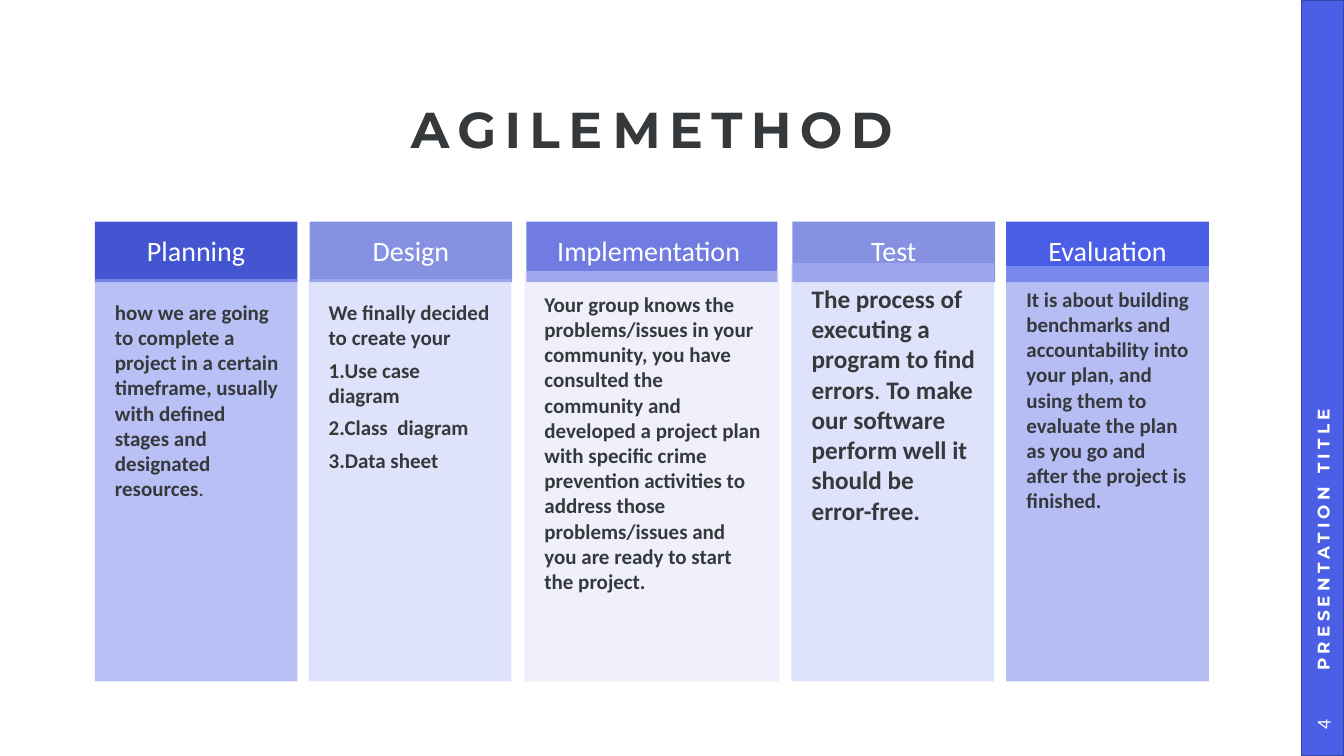
import pptx
import pptx.util
import pptx.dml.color
import pptx.enum.shapes
import pptx.enum.text
import pptx.oxml
import pptx.oxml.ns

Inches = pptx.util.Inches
Pt = pptx.util.Pt
ALIGN = pptx.enum.text.PP_ALIGN
ANCHOR = pptx.enum.text.MSO_ANCHOR


def paint(fill, color, opacity=100):
    fill.solid()
    fill.fore_color.rgb = pptx.dml.color.RGBColor.from_string(color)
    if opacity < 100:
        alpha = pptx.oxml.parse_xml(
            f'<a:alpha {pptx.oxml.ns.nsdecls("a")} val="{opacity * 1000}"/>')
        fill._xPr.find(".//" + pptx.oxml.ns.qn("a:srgbClr")).append(alpha)


def write(box, paragraphs, font, color, insets, anchor, spacing=0, **layout):
    frame = box.text_frame
    frame.word_wrap = True
    frame.vertical_anchor = anchor
    for side, inset in zip(("left", "top", "right", "bottom"), insets):
        setattr(frame, f"margin_{side}", Inches(inset))
    for index, pieces in enumerate(paragraphs):
        para = frame.add_paragraph() if index else frame.paragraphs[0]
        for name, value in layout.items():
            setattr(para, name, value)
        for text, bold in pieces:
            span = para.add_run()
            span.text = text
            for name, value in font.items():
                setattr(span.font, name, value)
            span.font.bold = bold
            paint(span.font.fill, color)
            if spacing:
                span._r.get_or_add_rPr().set("spc", str(spacing * 100))


deck = pptx.Presentation()
deck.slide_width = Inches(13.33)
deck.slide_height = Inches(7.5)
page = deck.slides.add_slide(deck.slide_layouts[6])
RECTANGLE = pptx.enum.shapes.MSO_SHAPE.RECTANGLE

sidebar = page.shapes.add_shape(RECTANGLE, Inches(12.91), 0, Inches(0.42), Inches(7.5))
sidebar.shadow.inherit = False
paint(sidebar.fill, "4A5EE6")
paint(sidebar.line.fill, "3746AA")
sidebar.line.width = Pt(1)

HEADER_TOP, HEADER_HEIGHT, BOTTOM = 2.2, 0.6, 6.76
phases = [
    {"title": "Planning", "header": (0.94, 2.01, "4355D1", 100),
     "body": (0.94, 2.77, 2.01, "929EF0", 64), "size": 15,
     "text": [[("how we are going to complete a project in a certain timeframe, "
                "usually with defined stages and designated resources", True), (".", False)]]},
    {"title": "Design", "header": (3.07, 2.01, "1C32C8", 53),
     "body": (3.06, 2.77, 2.01, "B7BFF5", 45), "size": 15,
     "text": [[("We finally decided to create your", True)], [("1.Use case diagram", True)],
              [("2.Class  diagram", True)], [("3.Data sheet", True)]]},
    {"title": "Implementation ", "header": (5.22, 2.49, "707CE1", 100),
     "body": (5.2, 2.69, 2.53, "DBDFFA", 44), "size": 15,
     "text": [[("Your group knows the problems/issues in your community, you have consulted "
                "the community and developed a project plan with specific crime prevention "
                "activities to address those problems/issues and you are ready to start "
                "the project.", True)]]},
    {"title": "Test", "header": (7.86, 2.01, "1C32C8", 53),
     "body": (7.85, 2.61, 2.01, "B7BFF5", 45), "size": 18,
     "text": [[("The process of executing a program to find errors", True), (". ", False),
               ("To make our software perform well it should be error-free.", True)]]},
    {"title": "Evaluation", "header": (9.98, 2.01, "4A5EE6", 100),
     "body": (9.98, 2.64, 2.01, "929EF0", 68), "size": 15,
     "text": [[("It is about building benchmarks and accountability into your plan, and using "
                "them to evaluate the plan as you go and after the project is finished.", True)]]},
]

for phase in phases:
    left, width, color, opacity = phase["header"]
    header = page.shapes.add_shape(RECTANGLE, Inches(left), Inches(HEADER_TOP),
                                   Inches(width), Inches(HEADER_HEIGHT))
    paint(header.fill, color, opacity)
    write(header, [[(phase["title"], False)]], {"name": "Calibri", "size": Pt(20)}, "FFFFFF",
          [0.16] * 4, ANCHOR.MIDDLE, alignment=ALIGN.CENTER, line_spacing=0.9, space_after=Pt(7))

    left, top, width, color, opacity = phase["body"]
    body = page.shapes.add_shape(RECTANGLE, Inches(left), Inches(top),
                                 Inches(width), Inches(BOTTOM - top))
    paint(body.fill, color, opacity)
    write(body, phase["text"], {"name": "Calibri", "size": Pt(phase["size"])}, "36393B",
          [0.2, 0.2, 0.18, 0.2], ANCHOR.TOP, alignment=ALIGN.LEFT, space_after=Pt(5.25))

    for box in (header, body):
        box.shadow.inherit = False
        box.line.fill.background()

title = page.shapes.add_textbox(Inches(0.93), Inches(0.96), Inches(11.07), Inches(0.71))
write(title, [[("AGILE\tMETHOD", True)]], {"name": "Montserrat", "size": Pt(36)}, "36393B",
      [0] * 4, ANCHOR.MIDDLE, spacing=6, alignment=ALIGN.CENTER, line_spacing=0.9)

footer = page.shapes.add_textbox(Inches(9.68), Inches(3.23), Inches(6.88), Inches(0.42))
footer.rotation = 270
write(footer, [[("PRESENTATION TITLE", True)]], {"name": "Montserrat", "size": Pt(12)}, "FFFFFF",
      [0.23, 0.05, 0.1, 0.05], ANCHOR.MIDDLE, spacing=3, alignment=ALIGN.LEFT)

number = page.shapes.add_textbox(Inches(12.81), Inches(6.98), Inches(0.62), Inches(0.42))
number.rotation = 270
write(number, [[("4", False)]], {"name": "Calibri", "size": Pt(14)}, "FFFFFF",
      [0.1, 0.05, 0.1, 0.05], ANCHOR.MIDDLE, alignment=ALIGN.CENTER)

deck.save("out.pptx")
